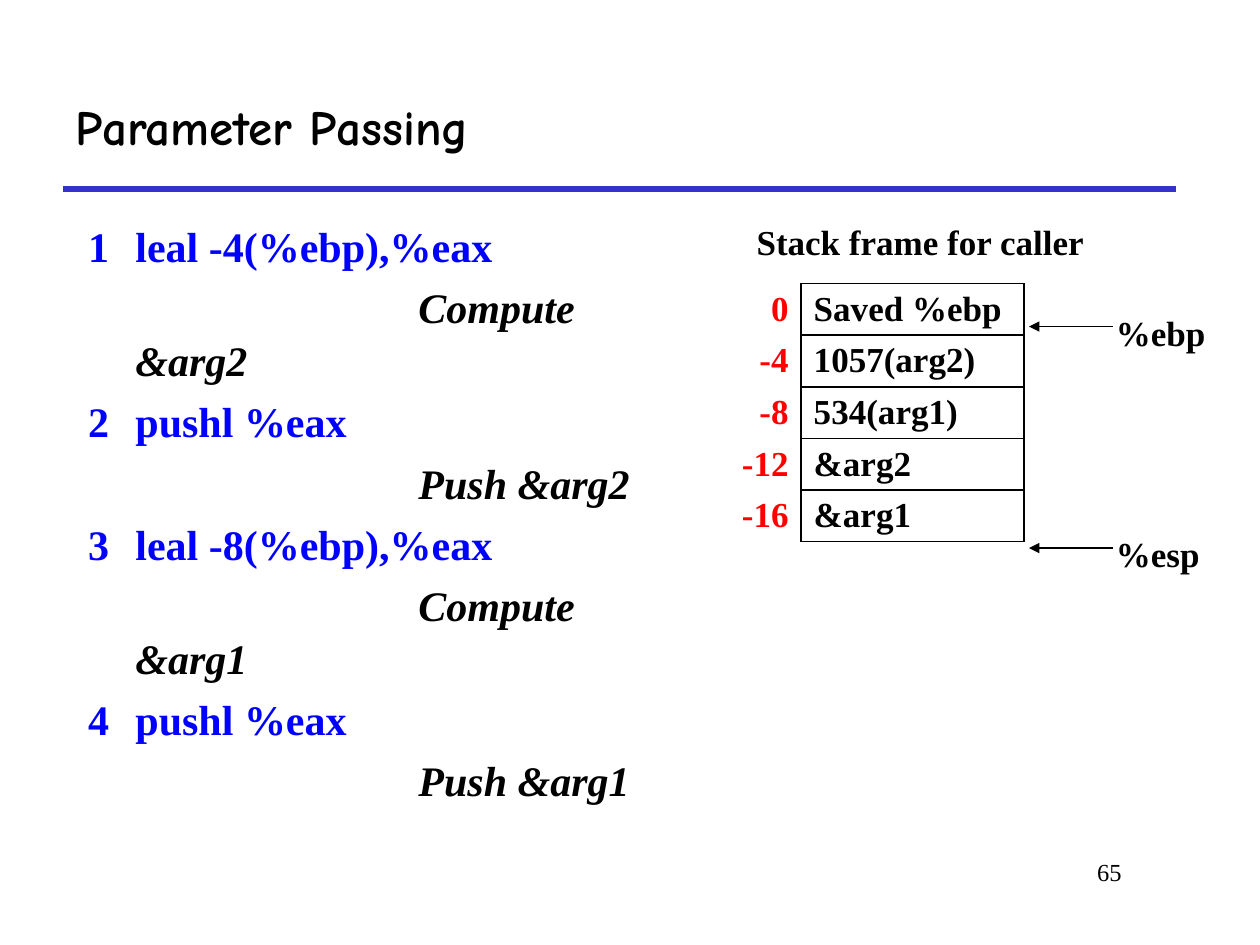
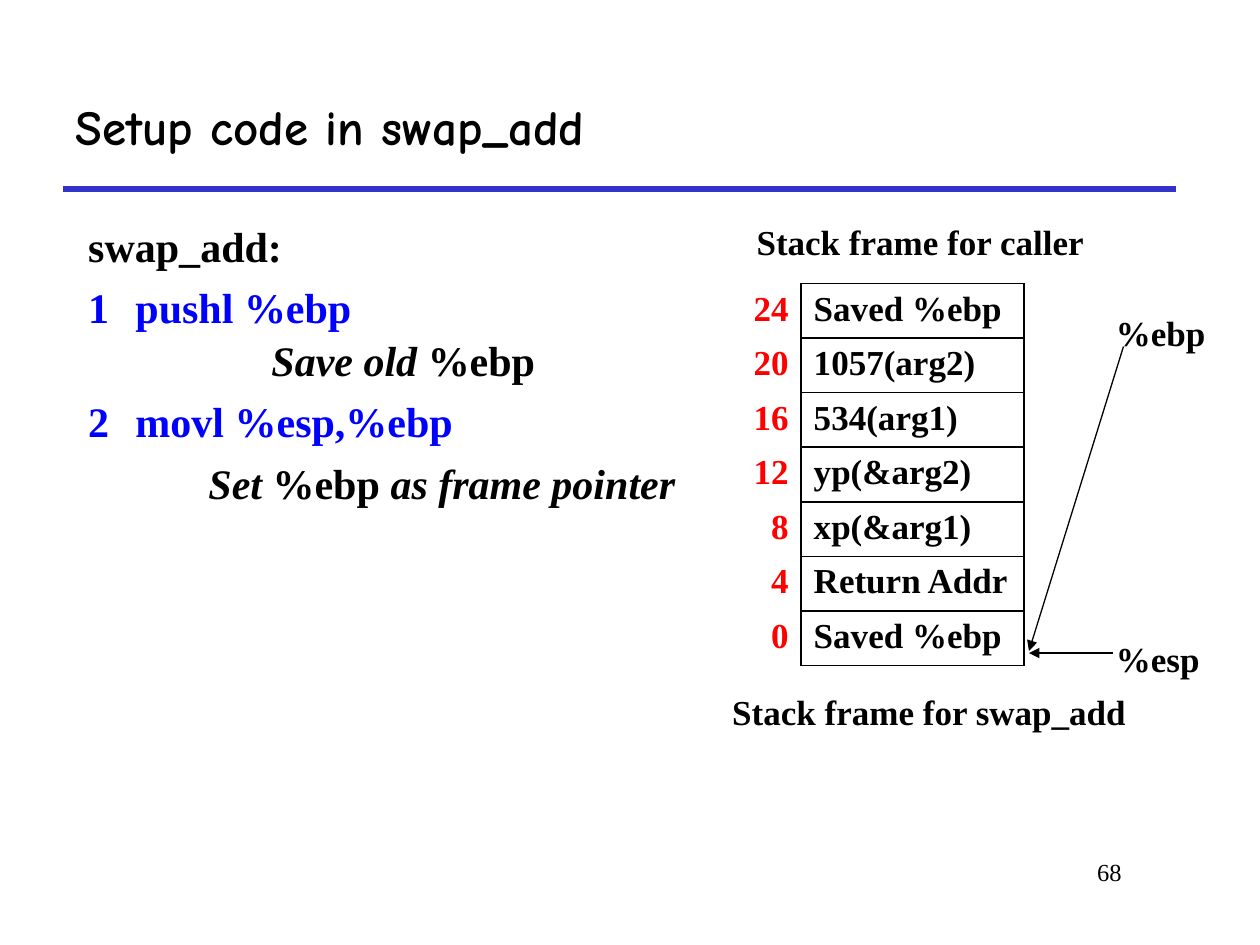
from lxml import etree
from pptx import Presentation
from pptx import util as u
from pptx.dml.color import RGBColor
from pptx.enum import shapes, text
from pptx.oxml import ns

BLACK = RGBColor(0x00, 0x00, 0x00)
CODE_BLUE = RGBColor(0x00, 0x00, 0xFF)
RULE_BLUE = RGBColor(0x33, 0x33, 0xCC)
OFFSET_RED = RGBColor(0xFF, 0x00, 0x00)

TITLE_FONT = "Comic Neue"
BODY_FONT = "Times New Roman"
CELL = u.Inches(1) / 12  # one column or row of the 120 x 90 grid
HANG = 4.5               # columns between a line number and its code


def grid(cells):
    return u.Emu(round(cells * CELL))


def format_run(span, size, color=BLACK, name=BODY_FONT, bold=True, italic=False):
    font = span.font
    font.name, font.size = name, u.Pt(size)
    font.bold, font.italic = bold, italic
    font.color.rgb = color


def code(number, statement):
    """A numbered statement, aligned on the hanging indent."""
    return [(f"{number}\t{statement}", CODE_BLUE, False)], 0, 4.8


def remark(start, *spans, before=4.8):
    """A remark whose first line starts at the given column; registers are upright."""
    return [(words, BLACK, not words.startswith("%")) for words in spans], start, before


class Deck:
    """Holds the shared style and the current slide."""

    def __init__(self):
        self.deck = Presentation()
        self.deck.slide_width, self.deck.slide_height = grid(120), grid(90)
        self.page = None

    def new_page(self, title, number):
        self.page = self.deck.slides.add_slide(self.deck.slide_layouts[1])
        self.line((6, 18), (112, 18), RULE_BLUE, 3)
        box = self.page.shapes.title
        self.place(box, 6, 6, 106, 12)
        frame = box.text_frame
        frame.text = title
        frame.vertical_anchor = text.MSO_ANCHOR.MIDDLE
        frame.auto_size = text.MSO_AUTO_SIZE.NONE
        frame.paragraphs[0].alignment = text.PP_ALIGN.LEFT
        format_run(frame.paragraphs[0].runs[0], 28, name=TITLE_FONT)
        self.label(str(number), 91, 81, 17, 6, text.PP_ALIGN.RIGHT, size=14, bold=False)

    def place(self, box, left, top, width, height):
        box.left, box.top = grid(left), grid(top)
        box.width, box.height = grid(width), grid(height)

    def label(self, words, left, top, width, height=5.2,
              align=text.PP_ALIGN.LEFT, size=20, bold=True):
        box = self.page.shapes.add_textbox(
            grid(left), grid(top), grid(width), grid(height))
        frame = box.text_frame
        frame.word_wrap = True
        frame.text = words
        frame.paragraphs[0].alignment = align
        format_run(frame.paragraphs[0].runs[0], size, bold=bold)

    def caption(self, words, left, top, width):
        self.label(words, left, top, width, align=text.PP_ALIGN.CENTER)

    def line(self, start, end, color=BLACK, weight=0.75, arrow=False):
        connector = self.page.shapes.add_connector(
            shapes.MSO_CONNECTOR.STRAIGHT, *map(grid, start + end))
        connector.line.color.rgb = color
        connector.line.width = u.Pt(weight)
        if arrow:
            etree.SubElement(connector.line._get_or_add_ln(),
                             ns.qn("a:tailEnd"), type="triangle")
        etree.SubElement(connector._element.spPr, ns.qn("a:effectLst"))

    def register(self, name, row, arrow=True):
        """A register name, with a level arrow to the stack."""
        self.label(name, 105.1, row - 2.04, 13)
        if arrow:
            self.line((106, row), (98, row), arrow=True)

    def listing(self, width, lines):
        box = self.page.placeholders[1]
        self.place(box, 7.2, 20.15, width, 54)
        frame = box.text_frame
        frame.auto_size = text.MSO_AUTO_SIZE.NONE
        for index, (spans, start, before) in enumerate(lines):
            para = frame.paragraphs[0] if index == 0 else frame.add_paragraph()
            para.line_spacing = 1.05
            para.space_before = u.Pt(before if index else 0)
            properties = para._p.get_or_add_pPr()
            properties.set("marL", str(grid(HANG)))
            properties.set("indent", str(grid(start - HANG)))
            etree.SubElement(properties, ns.qn("a:buNone"))
            for words, color, italic in spans:
                span = para.add_run()
                span.text = words
                format_run(span, 24, color, italic=italic)

    def stack(self, row_height, entries):
        """A stack drawn as a table of offsets and bordered values."""
        widths = (7.3, 21.25)
        table = self.page.shapes.add_table(
            len(entries), 2, grid(69), grid(27),
            grid(sum(widths)), grid(row_height * len(entries))).table
        table.first_row = table.horz_banding = False
        for column, width in zip(table.columns, widths):
            column.width = grid(width)
        for row, entry in zip(table.rows, entries):
            row.height = grid(row_height)
            offset, value = row.cells
            self.stack_cell(offset, entry[0], OFFSET_RED, text.PP_ALIGN.RIGHT, "R")
            self.stack_cell(value, entry[1], BLACK, text.PP_ALIGN.LEFT, "LRTB")

    def stack_cell(self, cell, words, color, align, borders):
        cell.margin_top, cell.margin_bottom = u.Inches(0.05), u.Inches(0.02)
        para = cell.text_frame.paragraphs[0]
        para.text = str(words)
        para.alignment = align
        format_run(para.runs[0], 20, color)
        properties = cell._tc.get_or_add_tcPr()
        for side in "LRTB":
            edge = etree.SubElement(properties, ns.qn(f"a:ln{side}"), w=str(u.Pt(1)))
            if side in borders:
                fill = etree.SubElement(edge, ns.qn("a:solidFill"))
                etree.SubElement(fill, ns.qn("a:srgbClr"), val=str(BLACK))
            else:
                etree.SubElement(edge, ns.qn("a:noFill"))
        cell.fill.background()


def parameter_passing(deck):
    deck.new_page("Parameter Passing", 65)
    lines = []
    steps = [("leal -4(%ebp),%eax", "Compute &arg2"), ("pushl %eax", "Push &arg2"),
             ("leal -8(%ebp),%eax", "Compute &arg1"), ("pushl %eax", "Push &arg1")]
    for number, (statement, meaning) in enumerate(steps, 1):
        lines += [code(number, statement), remark(31.45, meaning)]
    deck.listing(56.5, lines)

    # Stack of the caller, offsets counted down from %ebp
    values = ["Saved %ebp", "1057(arg2)", "534(arg1)", "&arg2", "&arg1"]
    deck.caption("Stack frame for caller", 70, 20.4, 35.3)
    deck.stack(4.92, [(-4 * index, value) for index, value in enumerate(values)])
    deck.register("%ebp", 31.1)
    deck.register("%esp", 52.2)


def setup_code(deck):
    deck.new_page("Setup code in swap_add", 68)
    deck.listing(61.8, [
        ([("swap_add:", BLACK, False)], 0, 0),
        code(1, "pushl %ebp"),
        remark(17.45, "Save old ", "%ebp", before=0),
        code(2, "movl %esp,%ebp"),
        remark(11.45, "Set ", "%ebp ", "as frame pointer"),
    ])

    # Stack after the call, offsets counted up from the new %ebp
    values = ["Saved %ebp", "1057(arg2)", "534(arg1)", "yp(&arg2)",
              "xp(&arg1)", "Return Addr", "Saved %ebp"]
    top = 4 * (len(values) - 1)
    deck.caption("Stack frame for caller", 70, 20.4, 35.3)
    deck.stack(5.2, [(top - 4 * index, value) for index, value in enumerate(values)])
    deck.register("%ebp", 31.1, arrow=False)
    deck.line((107, 33), (98, 62), arrow=True)
    deck.register("%esp", 62.2)
    deck.caption("Stack frame for swap_add", 68, 65.2, 41)


def main():
    deck = Deck()
    parameter_passing(deck)
    setup_code(deck)
    deck.deck.save("out.pptx")


if __name__ == "__main__":
    main()
